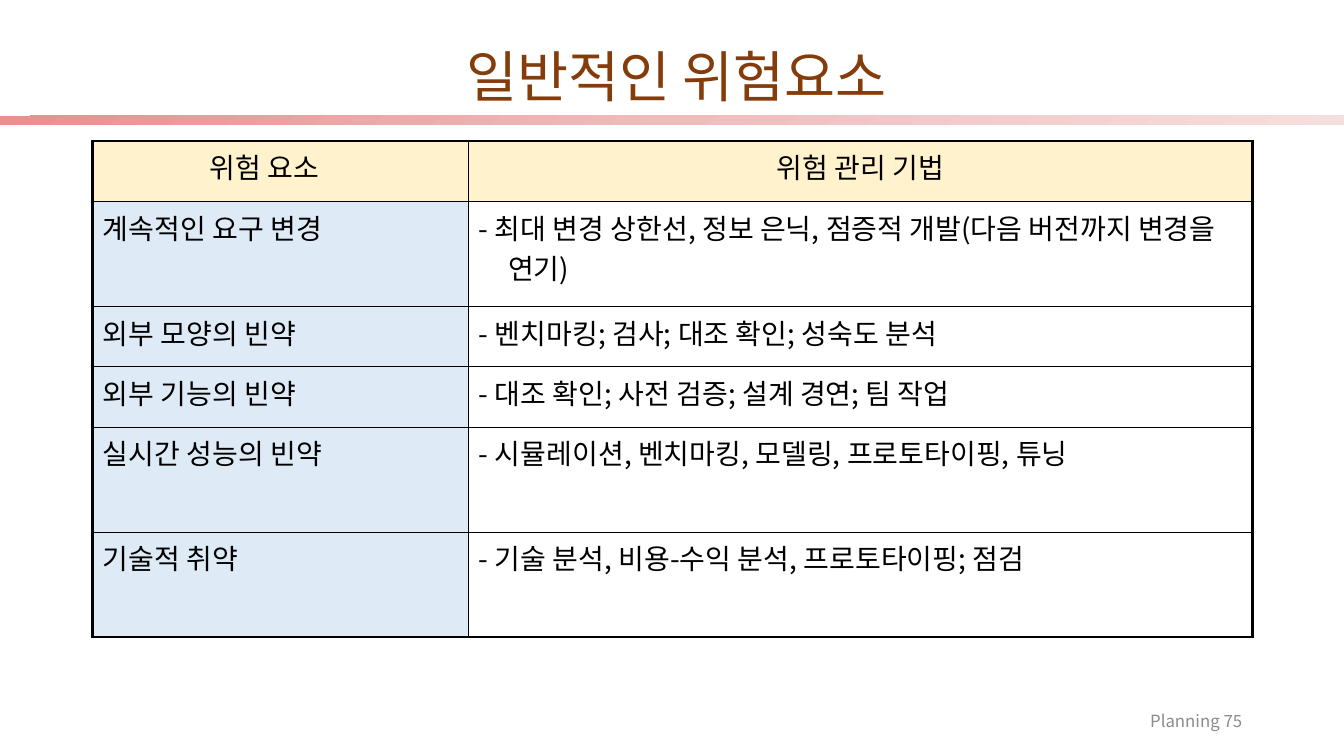
"""Build the slide on common risk factors and how to manage them."""
import copy
import dataclasses

import lxml.etree
import pptx
import pptx.dml.color
import pptx.enum.shapes
import pptx.enum.text
import pptx.oxml.ns
import pptx.util

Inches = pptx.util.Inches
Pt = pptx.util.Pt
RGBColor = pptx.dml.color.RGBColor
Align = pptx.enum.text.PP_ALIGN
Anchor = pptx.enum.text.MSO_ANCHOR
qn = pptx.oxml.ns.qn

FACE = "Noto Sans CJK KR"
BLACK = RGBColor(0x00, 0x00, 0x00)
BROWN = RGBColor(0x84, 0x3C, 0x0B)
GRAY = RGBColor(0x8C, 0x8C, 0x8C)
CREAM = RGBColor(0xFF, 0xF2, 0xCC)
SKY = RGBColor(0xDE, 0xEB, 0xF7)
FADE = (RGBColor(0xE9, 0x8F, 0x8F), RGBColor(0xEF, 0xBC, 0xBC),
        RGBColor(0xF7, 0xDE, 0xDE))
THIN, THICK = Pt(1), Pt(2.25)
LOW, TALL = 0.6, 1.04
WIDTHS = (3.73, 7.77)


@dataclasses.dataclass(frozen=True)
class Risk:
    """One table row: a risk, its remedy and the row height."""
    name: str
    cure: str
    height: float = LOW


RISKS = (
    Risk("위험 요소", "위험 관리 기법"),
    Risk("계속적인 요구 변경",
         "- 최대 변경 상한선, 정보 은닉, 점증적 개발(다음 버전까지 변경을 연기)", TALL),
    Risk("외부 모양의 빈약", "- 벤치마킹; 검사; 대조 확인; 성숙도 분석"),
    Risk("외부 기능의 빈약", "- 대조 확인; 사전 검증; 설계 경연; 팀 작업"),
    Risk("실시간 성능의 빈약", "- 시뮬레이션, 벤치마킹, 모델링, 프로토타이핑, 튜닝", TALL),
    Risk("기술적 취약", "- 기술 분석, 비용-수익 분석, 프로토타이핑; 점검", TALL),
)


def apply(target: object, values: dict) -> None:
    """Set each named value on the target."""
    for key, value in values.items():
        setattr(target, key, value)


def write(frame, text: str, size: float, color: RGBColor, align: Align):
    """Fill a text frame with one styled paragraph and return it."""
    frame.text = text
    para = frame.paragraphs[0]
    para.alignment = align
    run = para.runs[0]
    apply(run.font, {"size": Pt(size), "name": FACE, "bold": False})
    run.font.color.rgb = color
    east = lxml.etree.SubElement(run.font._element, qn("a:ea"))
    east.set("typeface", FACE)
    return para


def space(para, hang: bool) -> None:
    """Add relative space before a paragraph and an optional hanging indent."""
    props = para._p.get_or_add_pPr()
    before = lxml.etree.SubElement(props, qn("a:spcBef"))
    lxml.etree.SubElement(before, qn("a:spcPct")).set("val", "20000")
    if hang:
        props.set("marL", str(Inches(0.29)))
        props.set("indent", str(-Inches(0.29)))


def edge(cell, sides: dict) -> None:
    """Draw the black borders of a cell from a dict of side and width."""
    props = cell._tc.get_or_add_tcPr()
    for place, (side, width) in enumerate(sides.items()):
        line = lxml.etree.Element(qn(f"a:ln{side}"), w=str(width))
        solid = lxml.etree.SubElement(line, qn("a:solidFill"))
        lxml.etree.SubElement(solid, qn("a:srgbClr")).set("val", str(BLACK))
        props.insert(place, line)


def band(slide) -> None:
    """Draw the fading bar under the title."""
    bar = slide.shapes.add_shape(
        pptx.enum.shapes.MSO_SHAPE.RECTANGLE,
        Inches(0), Inches(1.15), Inches(13.33), Inches(0.09))
    bar.shadow.inherit = False
    bar.line.fill.background()
    bar.fill.gradient()
    bar.fill.gradient_angle = 315
    stops = bar._element.spPr.find(".//" + qn("a:gsLst"))
    stops.insert(1, copy.deepcopy(stops[0]))
    for index, stop in enumerate(bar.fill.gradient_stops):
        stop.position = index / 2
        stop.color.rgb = FADE[index]


def grid(slide) -> None:
    """Draw the table of risks."""
    total = sum(risk.height for risk in RISKS)
    table = slide.shapes.add_table(
        len(RISKS), len(WIDTHS), Inches(0.92), Inches(1.4),
        Inches(sum(WIDTHS)), Inches(total)).table
    apply(table, {"first_row": False, "horz_banding": False})
    for col, width in enumerate(WIDTHS):
        table.columns[col].width = Inches(width)
    for row, risk in enumerate(RISKS):
        table.rows[row].height = Inches(risk.height)
        head, last = row == 0, row == len(RISKS) - 1
        for col, text in enumerate((risk.name, risk.cure)):
            cell = table.cell(row, col)
            para = write(cell.text_frame, text, 20, BLACK,
                         Align.CENTER if head else Align.LEFT)
            space(para, hang=col == 1 and risk.height == TALL)
            if head or col == 0:
                cell.fill.solid()
                cell.fill.fore_color.rgb = CREAM if head else SKY
            else:
                cell.fill.background()
            edge(cell, {"L": THIN if col else THICK,
                        "R": THICK if col else THIN,
                        "T": THICK if head else THIN,
                        "B": THICK if last else THIN})
    table.cell(0, 0).margin_right = Inches(0.43)


def main() -> None:
    """Build and save the deck."""
    deck = pptx.Presentation()
    apply(deck, {"slide_width": Inches(13.33), "slide_height": Inches(7.5)})
    slide = deck.slides.add_slide(deck.slide_layouts[5])
    band(slide)
    grid(slide)

    title = slide.shapes.title
    apply(title, {"left": Inches(0.6), "top": Inches(0.48),
                  "width": Inches(12.22), "height": Inches(0.61)})
    para = write(title.text_frame, "일반적인 위험요소", 39.6, BROWN, Align.CENTER)
    para.line_spacing = 0.9

    foot = slide.shapes.add_textbox(
        Inches(9.42), Inches(6.95), Inches(3), Inches(0.4))
    write(foot.text_frame, "Planning 75", 12, GRAY, Align.RIGHT)
    for shape in (title, foot):
        apply(shape.text_frame, {
            "word_wrap": True, "vertical_anchor": Anchor.MIDDLE,
            "auto_size": pptx.enum.text.MSO_AUTO_SIZE.NONE})
    deck.save("out.pptx")


if __name__ == "__main__":
    main()
